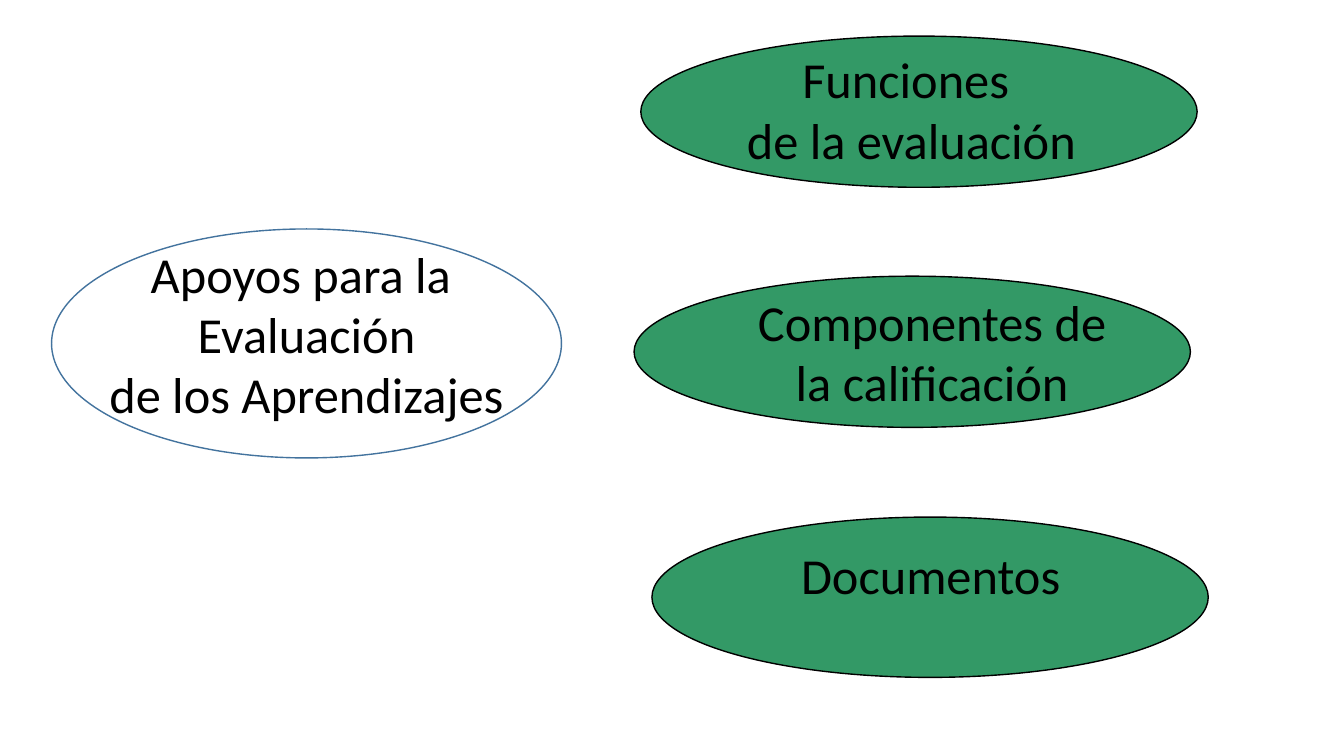
from dataclasses import dataclass

from pptx import Presentation
from pptx.dml.color import RGBColor
from pptx.enum.shapes import MSO_SHAPE
from pptx.enum.text import MSO_AUTO_SIZE, PP_ALIGN
from pptx.util import Cm, Pt


@dataclass(frozen=True)
class Theme:
    """Colours, font and sizes of the slide."""
    font: str = "Calibri"
    size: int = 36
    line: float = 1
    ink: str = "000000"
    green: str = "339966"
    blue: str = "43739E"


class Board:
    """Draws styled elements on the current slide."""

    def __init__(self, slide, theme):
        """Keep the slide and its theme."""
        self.slide = slide
        self.theme = theme

    def oval(self, box, edge, fill=None):
        """Add an ellipse, hollow unless a fill is given."""
        shape = self.slide.shapes.add_shape(MSO_SHAPE.OVAL, *map(Cm, box))
        shape.shadow.inherit = False
        if fill:
            shape.fill.solid()
            shape.fill.fore_color.rgb = RGBColor.from_string(fill)
        else:
            shape.fill.background()
        shape.line.color.rgb = RGBColor.from_string(edge)
        shape.line.width = Pt(self.theme.line)

    def label(self, box, lines):
        """Add centred text, one paragraph per line."""
        frame = self.slide.shapes.add_textbox(*map(Cm, box)).text_frame
        frame.word_wrap = True
        frame.auto_size = MSO_AUTO_SIZE.SHAPE_TO_FIT_TEXT
        for row, line in enumerate(lines):
            para = frame.add_paragraph() if row else frame.paragraphs[0]
            para.alignment = PP_ALIGN.CENTER
            run = para.add_run()
            run.text = line
            run.font.name = self.theme.font
            run.font.size = Pt(self.theme.size)
            run.font.color.rgb = RGBColor.from_string(self.theme.ink)


def main():
    """Build the topic map and save it."""
    deck = Presentation()
    deck.slide_width, deck.slide_height = Cm(33.87), Cm(19.05)
    theme = Theme()
    board = Board(deck.slides.add_slide(deck.slide_layouts[6]), theme)

    board.oval((1.3, 5.77, 12.85, 5.77), theme.blue)
    board.label((1.3, 5.99, 12.85, 4.88),
                ["Apoyos para la ", "Evaluación", "de los Aprendizajes"])

    width = 14.02
    topics = [
        ((16.43, 13.03, width, 4.04), (16.71, 13.59, 13.49, 1.8),
         ["Documentos"]),
        ((15.98, 6.96, width, 3.81), (14.48, 7.21, 18.31, 3.33),
         ["Componentes de ", "la calificación "]),
        ((16.15, 0.91, width, 3.81), (14.55, 1.09, 16.84, 3.33),
         ["Funciones ", "de la evaluación"]),
    ]
    for oval, text, lines in topics:
        board.oval(oval, theme.ink, theme.green)
        board.label(text, lines)

    deck.save("out.pptx")


main()
